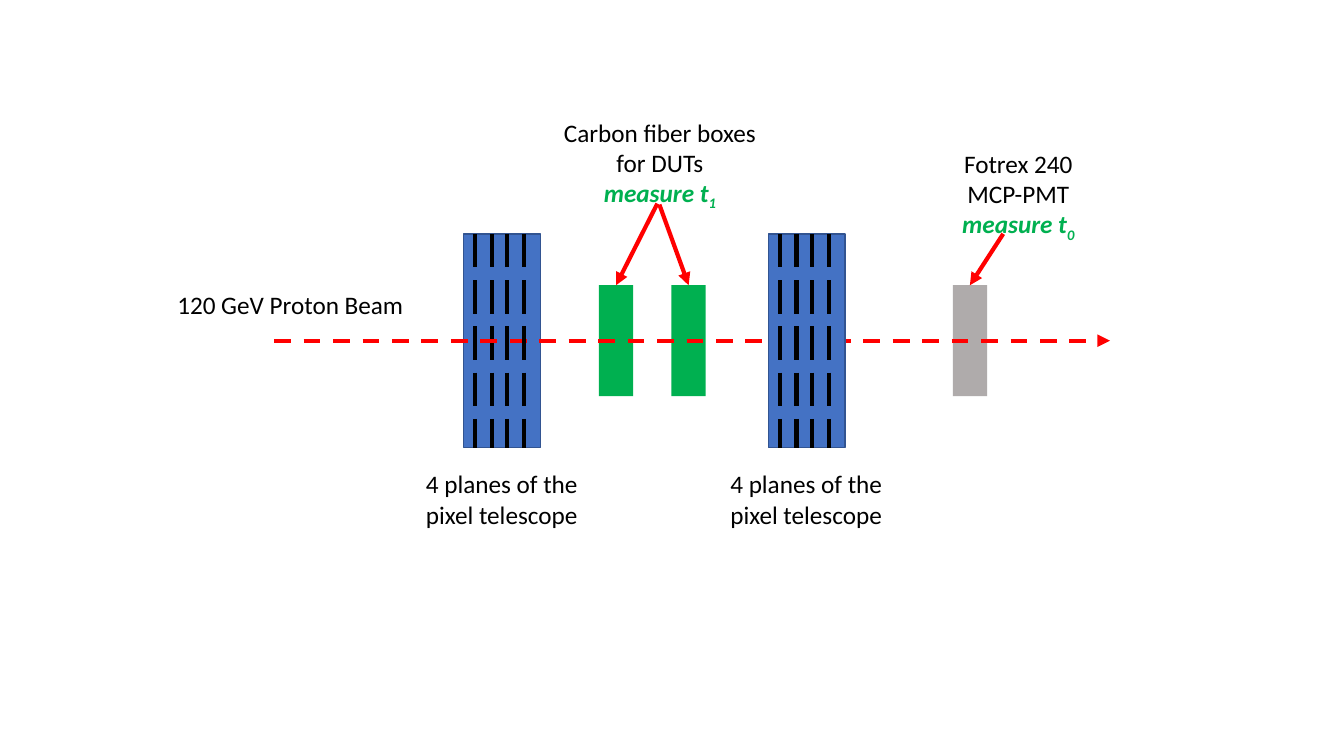
from dataclasses import dataclass

from lxml import etree
from pptx import Presentation
from pptx import util as u
from pptx.dml.color import RGBColor
from pptx.enum import dml, shapes, text
from pptx.oxml.ns import qn

BLACK = RGBColor(0x00, 0x00, 0x00)
RED = RGBColor(0xFF, 0x00, 0x00)
GREEN = RGBColor(0x00, 0xB0, 0x50)
GREY = RGBColor(0xAF, 0xAB, 0xAB)
BLUE = RGBColor(0x44, 0x72, 0xC4)
DARK_BLUE = RGBColor(0x32, 0x54, 0x91)

# Lengths below count cells of a square grid, ten cells to the inch.
CELL = u.Inches(0.1)
BEAM_ROW = 33.8
TELESCOPE_HEIGHT = 21.2
TELESCOPE_TOP = BEAM_ROW - TELESCOPE_HEIGHT / 2
DETECTOR_HEIGHT = 11
DETECTOR_TOP = BEAM_ROW - DETECTOR_HEIGHT / 2
PLANE_OFFSETS = (1.15, 2.8, 4.3, 6)


@dataclass(frozen=True)
class Block:
    """A part of the setup, centred on the beam."""
    left: float
    width: float
    height: float
    fill: RGBColor
    outline: RGBColor | None = None


@dataclass(frozen=True)
class Label:
    """A caption, with the index of the time it measures if any."""
    left: float
    top: float
    width: float
    height: float
    caption: str
    time_index: str = ""


@dataclass(frozen=True)
class Line:
    """A straight line, by default a solid red arrow."""
    x1: float
    y1: float
    x2: float
    y2: float
    color: RGBColor = RED
    dash: dml.MSO_LINE | None = None
    arrow: bool = True


def cells(count: float) -> u.Emu:
    """Turn grid cells into a length."""
    return u.Emu(round(count * CELL))


def draw_block(block: Block) -> None:
    """Draw a rectangle centred on the beam row."""
    top = BEAM_ROW - block.height / 2
    box = slide.shapes.add_shape(
        shapes.MSO_SHAPE.RECTANGLE,
        *map(cells, (block.left, top, block.width, block.height)))
    box.shadow.inherit = False
    box.fill.solid()
    box.fill.fore_color.rgb = block.fill
    if block.outline is None:
        box.line.fill.background()
    else:
        box.line.color.rgb = block.outline
        box.line.width = u.Pt(1)


def draw_line(line: Line) -> None:
    """Draw a line with its dash and arrowhead."""
    connector = slide.shapes.add_connector(
        shapes.MSO_CONNECTOR.STRAIGHT,
        *map(cells, (line.x1, line.y1, line.x2, line.y2)))
    connector.line.color.rgb = line.color
    connector.line.width = u.Pt(3)
    if line.dash is not None:
        connector.line.dash_style = line.dash
    if line.arrow:
        etree.SubElement(connector.line._get_or_add_ln(), qn("a:tailEnd"),
                         type="triangle")
    etree.SubElement(connector._element.spPr, qn("a:effectLst"))


def draw_planes(telescope: Block, offsets: tuple[float, ...]) -> None:
    """Draw pixel planes at the given offsets inside a telescope."""
    for offset in offsets:
        column = telescope.left + offset
        draw_line(Line(column, TELESCOPE_TOP, column,
                       TELESCOPE_TOP + TELESCOPE_HEIGHT,
                       BLACK, dml.MSO_LINE.LONG_DASH, arrow=False))


def draw_label(label: Label) -> None:
    """Write a caption, followed by the measured time if there is one."""
    frame = slide.shapes.add_textbox(
        *map(cells, (label.left, label.top, label.width, label.height))).text_frame
    frame.word_wrap = True
    frame.auto_size = text.MSO_AUTO_SIZE.SHAPE_TO_FIT_TEXT
    frame.text = label.caption
    if label.time_index:
        measure = frame.add_paragraph()
        measure.text = "measure t"
        index = measure.add_run()
        index.text = label.time_index
        index._r.get_or_add_rPr().set("baseline", "-25000")
    for number, paragraph in enumerate(frame.paragraphs):
        if label.time_index:
            paragraph.alignment = text.PP_ALIGN.CENTER
        for run in paragraph.runs:
            run.font.name = "Calibri"
            run.font.size = u.Pt(18)
            run.font.color.rgb = GREEN if number else BLACK
            if number:
                run.font.bold = run.font.italic = True


front, rear = (Block(left, 7.6, TELESCOPE_HEIGHT, BLUE, DARK_BLUE)
               for left in (46, 76.2))
detectors = [Block(left, 3.4, DETECTOR_HEIGHT, fill)
             for left, fill in ((59.4, GREEN), (66.6, GREEN), (94.5, GREY))]
beam = Line(27.2, BEAM_ROW, 110.1, BEAM_ROW, dash=dml.MSO_LINE.DASH)
pointer_starts = ((65.2, 20.2), (65.4, 20.3), (99.5, 23.2))
labels = [
    Label(16.6, 28.2, 24.8, 4, "120 GeV Proton Beam"),
    Label(53.5, 11.1, 23.9, 10.1, "Carbon fiber boxes for DUTs", "1"),
    Label(93.1, 14.2, 15.8, 10.1, "Fotrex 240 MCP-PMT", "0"),
    *(Label(telescope.left - 4.75, 46, 18.1, 7.1,
            "4 planes of the pixel telescope") for telescope in (front, rear)),
]

prs = Presentation()
prs.slide_width, prs.slide_height = u.Inches(13.33), u.Inches(7.5)
slide = prs.slides.add_slide(prs.slide_layouts[6])

draw_block(front)
for detector in detectors:
    draw_block(detector)
# The beam passes over the first three planes and under the rest.
draw_planes(front, PLANE_OFFSETS[:3])
draw_line(beam)
draw_planes(front, PLANE_OFFSETS[3:])
draw_block(rear)
draw_planes(rear, PLANE_OFFSETS)
for label in labels:
    draw_label(label)
for start, detector in zip(pointer_starts, detectors):
    draw_line(Line(*start, detector.left + detector.width / 2, DETECTOR_TOP))

prs.save("out.pptx")
